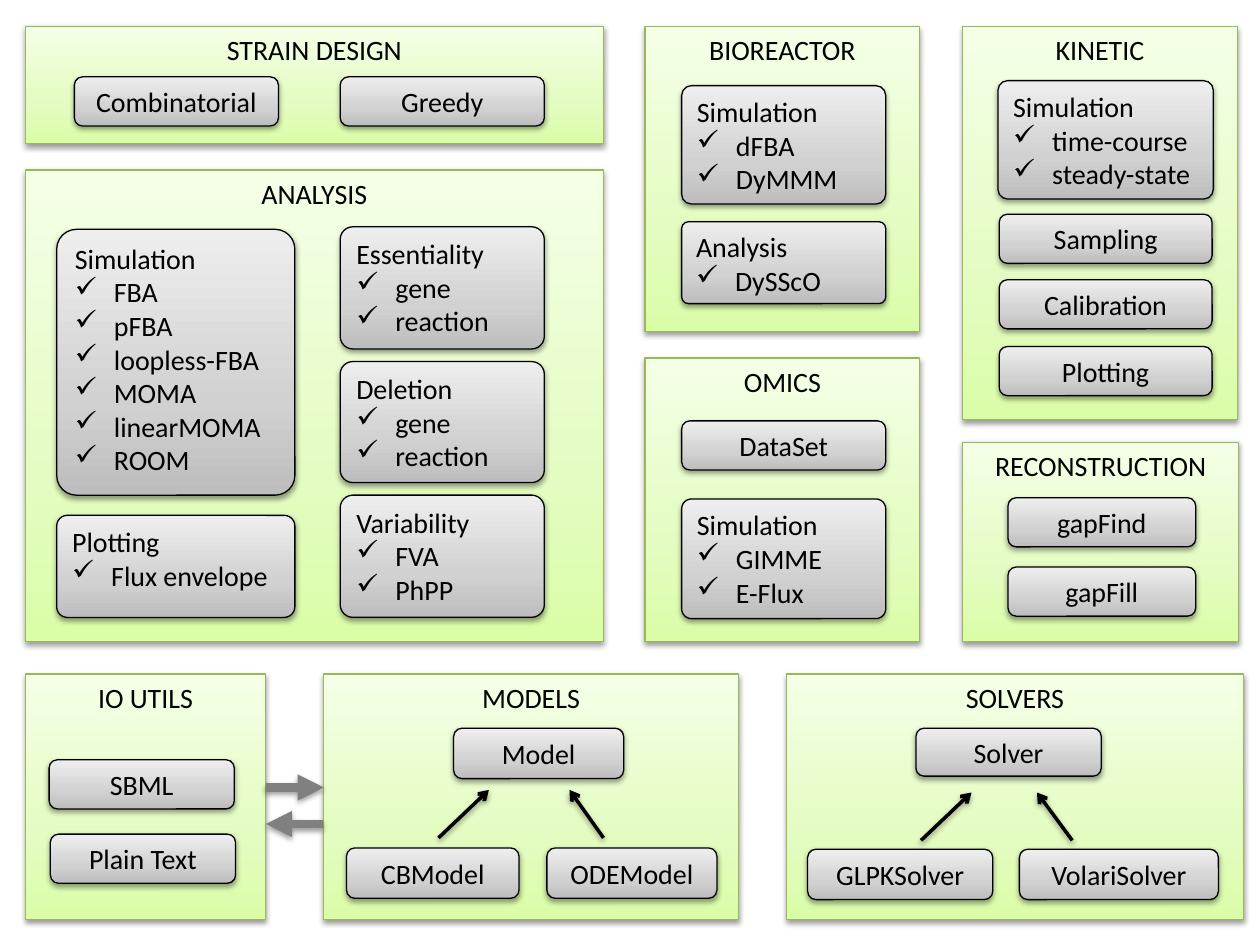
from copy import deepcopy

from lxml import etree
from pptx import Presentation
from pptx.dml.color import RGBColor
from pptx.enum.shapes import MSO_CONNECTOR, MSO_SHAPE
from pptx.enum.text import MSO_ANCHOR, PP_ALIGN
from pptx.oxml.ns import qn
from pptx.util import Inches, Pt

RECT, ROUNDED = MSO_SHAPE.RECTANGLE, MSO_SHAPE.ROUNDED_RECTANGLE
STRAIGHT = MSO_CONNECTOR.STRAIGHT
TOP, MIDDLE = MSO_ANCHOR.TOP, MSO_ANCHOR.MIDDLE
LEFT, CENTER = PP_ALIGN.LEFT, PP_ALIGN.CENTER


def rgb(value):
    return RGBColor.from_string(value)


def apply(target, values):
    for key, value in values.items():
        setattr(target, key, value)


class Diagram:
    """Draws the module diagram in one style on the current slide."""

    GREEN = ((0, "DAFDA7"), (0.35, "E4FCC2"), (1, "F5FFE7"))
    GREY = ((0, "BDBDBD"), (0.35, "D1D1D1"), (1, "EEEEEE"))
    FONT = {"name": "Calibri", "size": Pt(16)}
    INK = "000000"
    INDENT = Inches(0.31)

    def __init__(self, slide):
        self.slide = slide

    def shadow(self, item):
        properties = item._element.spPr
        effects = etree.SubElement(properties, qn("a:effectLst"))
        outer = etree.SubElement(effects, qn("a:outerShdw"), blurRad="40000",
                                 dist="20000", dir="5400000", rotWithShape="0")
        color = etree.SubElement(outer, qn("a:srgbClr"), val=self.INK)
        etree.SubElement(color, qn("a:alpha"), val="38000")

    def stroke(self, item, color, width):
        item.line.color.rgb = rgb(color)
        item.line.width = Pt(width)

    def gradient(self, shape, stops):
        shape.fill.gradient()
        shape.fill.gradient_angle = 90
        stop_list = shape._element.spPr.find(qn("a:gradFill")).find(qn("a:gsLst"))
        stop_list.append(deepcopy(stop_list[0]))
        for stop, (position, color) in zip(shape.fill.gradient_stops, stops):
            stop.position = position
            stop.color.rgb = rgb(color)

    def box(self, kind, bounds, stops, edge, lines, anchor, align):
        shape = self.slide.shapes.add_shape(kind, *map(Inches, bounds))
        self.gradient(shape, stops)
        self.stroke(shape, edge, 0.75)
        self.shadow(shape)
        frame = shape.text_frame
        apply(frame, {"word_wrap": True, "vertical_anchor": anchor})
        for index, line in enumerate(lines):
            paragraph = frame.paragraphs[0] if index == 0 else frame.add_paragraph()
            paragraph.alignment = align
            run = paragraph.add_run()
            run.text = line
            apply(run.font, self.FONT)
            run.font.color.rgb = rgb(self.INK)
            if index:
                self.check_mark(paragraph)
        return shape

    def check_mark(self, paragraph):
        properties = paragraph._p.get_or_add_pPr()
        properties.set("marL", str(self.INDENT))
        properties.set("indent", str(-self.INDENT))
        etree.SubElement(properties, qn("a:buChar"), char="✓")

    def panel(self, title, bounds):
        self.box(RECT, bounds, self.GREEN, "98B955", [title], TOP, CENTER)

    def label(self, text, bounds):
        self.box(ROUNDED, bounds, self.GREY, self.INK, [text], MIDDLE, CENTER)

    def checklist(self, lines, bounds, corner):
        shape = self.box(ROUNDED, bounds, self.GREY, self.INK, lines, TOP, LEFT)
        shape.adjustments[0] = corner

    def arrow(self, start, end, color, width, head):
        line = self.slide.shapes.add_connector(STRAIGHT, *map(Inches, start + end))
        self.stroke(line, color, width)
        etree.SubElement(line.line._get_or_add_ln(), qn("a:tailEnd"), type=head)
        self.shadow(line)


ROW = 0.39
LOWER_TOP, LOWER_HEIGHT = 5.35, 1.95
SOFT, TIGHT = 0.083, 0.104

PANELS = [
    ("IO UTILS", (0.2, LOWER_TOP, 1.91, LOWER_HEIGHT)),
    ("MODELS", (2.57, LOWER_TOP, 3.29, LOWER_HEIGHT)),
    ("SOLVERS", (6.24, LOWER_TOP, 3.63, LOWER_HEIGHT)),
    ("KINETIC", (7.64, 0.21, 2.18, 3.12)),
    ("ANALYSIS", (0.2, 1.35, 4.59, 3.74)),
    ("STRAIN DESIGN", (0.2, 0.21, 4.59, 0.93)),
    ("OMICS", (5.12, 2.84, 2.18, 2.25)),
    ("BIOREACTOR", (5.12, 0.21, 2.18, 2.42)),
    ("RECONSTRUCTION", (7.64, 3.51, 2.19, 1.58)),
]
LABELS = [
    ("SBML", (0.39, 6.03, 1.47, ROW)),
    ("Plain Text", (0.4, 6.62, 1.47, ROW)),
    ("Model", (3.6, 5.78, 1.35, 0.4)),
    ("CBModel", (2.75, 6.73, 1.37, 0.4)),
    ("ODEModel", (4.34, 6.73, 1.35, 0.4)),
    ("Solver", (7.27, 5.78, 1.47, 0.38)),
    ("GLPKSolver", (6.41, 6.74, 1.47, 0.4)),
    ("VolariSolver", (8.09, 6.74, 1.58, 0.4)),
    ("Combinatorial", (0.59, 0.61, 1.62, ROW)),
    ("Greedy", (2.7, 0.61, 1.62, ROW)),
    ("DataSet", (5.41, 3.34, 1.62, ROW)),
    ("gapFind", (8, 3.95, 1.49, ROW)),
    ("gapFill", (8, 4.5, 1.49, ROW)),
    ("Sampling", (7.93, 1.7, 1.69, ROW)),
    ("Calibration", (7.93, 2.22, 1.69, ROW)),
    ("Plotting", (7.93, 2.75, 1.69, ROW)),
]
CHECKLISTS = [
    (["Simulation", "FBA", "pFBA", "loopless-FBA", "MOMA", "linearMOMA", "ROOM"],
     (0.45, 1.82, 1.89, 2.11), SOFT),
    (["Plotting", "Flux envelope"], (0.45, 4.09, 1.89, 0.81), TIGHT),
    (["Essentiality", "gene", "reaction"], (2.7, 1.8, 1.62, 0.97), TIGHT),
    (["Deletion", "gene", "reaction"], (2.7, 2.87, 1.62, 0.96), TIGHT),
    (["Variability", "FVA", "PhPP"], (2.7, 3.93, 1.62, 0.97), TIGHT),
    (["Simulation", "GIMME", "E-Flux"], (5.41, 3.96, 1.62, 0.95), SOFT),
    (["Simulation", "dFBA", "DyMMM"], (5.41, 0.68, 1.62, 0.94), SOFT),
    (["Analysis", "DySScO"], (5.41, 1.76, 1.62, 0.65), SOFT),
    (["Simulation", "time-course", "steady-state"], (7.92, 0.64, 1.71, 0.94), SOFT),
]
INHERITANCE = [
    ((3.48, 6.65), (3.88, 6.27)),
    ((4.79, 6.65), (4.52, 6.27)),
    ((7.31, 6.67), (7.71, 6.29)),
    ((8.51, 6.67), (8.23, 6.29)),
]
EXCHANGE = [((2.11, 6.25), (2.57, 6.25)), ((2.56, 6.54), (2.11, 6.54))]

presentation = Presentation()
apply(presentation, {"slide_width": Inches(10), "slide_height": Inches(7.5)})
diagram = Diagram(presentation.slides.add_slide(presentation.slide_layouts[6]))

for title, bounds in PANELS:
    diagram.panel(title, bounds)
for text, bounds in LABELS:
    diagram.label(text, bounds)
for lines, bounds, corner in CHECKLISTS:
    diagram.checklist(lines, bounds, corner)
for start, end in INHERITANCE:
    diagram.arrow(start, end, "000000", 2, "arrow")
for start, end in EXCHANGE:
    diagram.arrow(start, end, "808080", 5, "triangle")

presentation.save("out.pptx")
